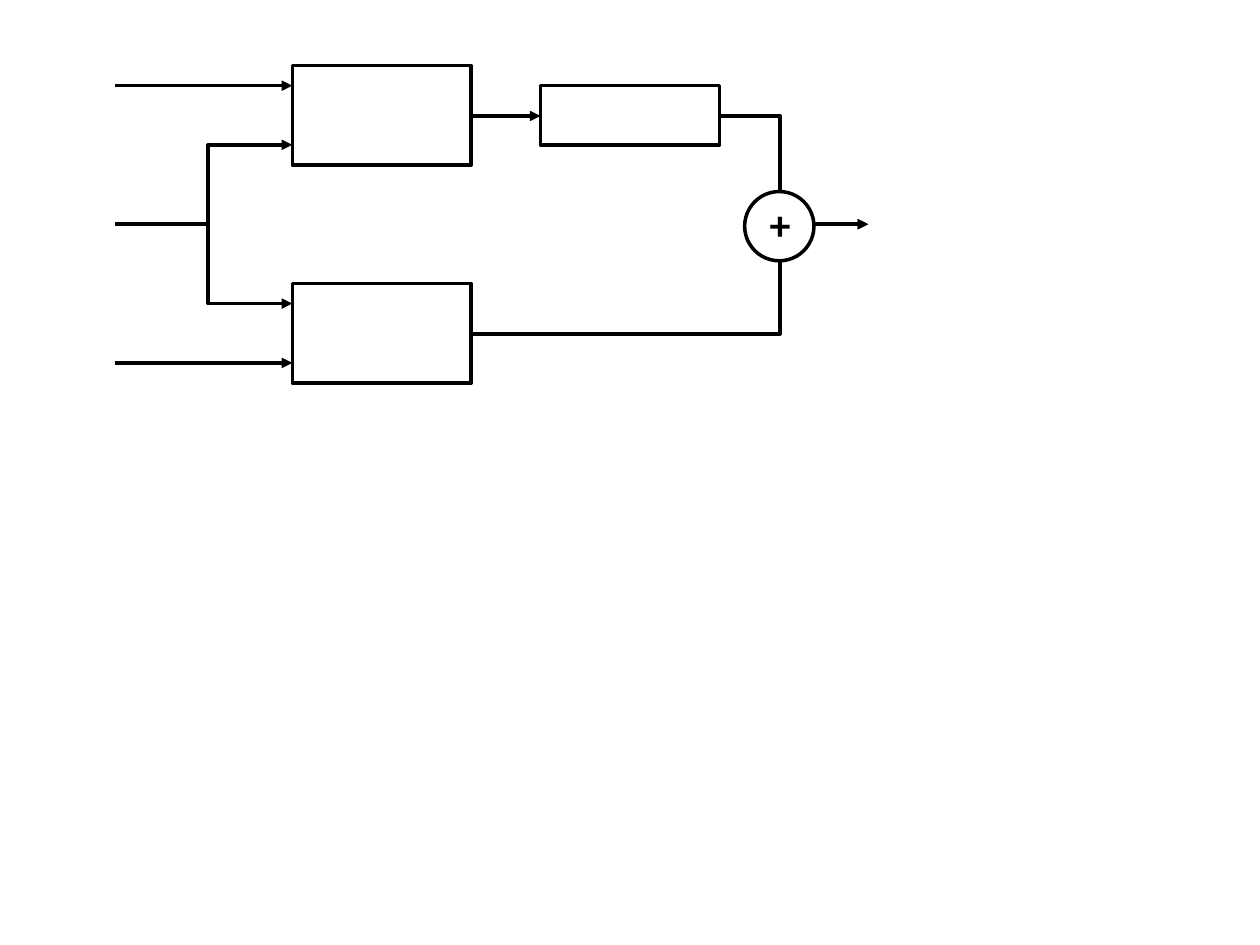
from dataclasses import dataclass
from typing import Optional

from lxml.etree import SubElement
from pptx import Presentation
from pptx.dml.color import RGBColor
from pptx.enum.shapes import MSO_CONNECTOR, MSO_SHAPE
from pptx.enum.text import MSO_AUTO_SIZE
from pptx.oxml.ns import qn
from pptx.util import Inches, Pt

BLACK = RGBColor(0, 0, 0)
WHITE = RGBColor(255, 255, 255)
LINE_W = Pt(2)
PLUS_FONT = {"name": "Calibri", "size": Pt(24), "bold": True}

BOX_W, BOX_H, DELAY_H = 1.42, 0.79, 0.47
IN_X, BOX_X, BOX_R, DELAY_X = 0.91, 2.32, 3.74, 4.29
DELAY_R = DELAY_X + BOX_W
SPLIT_X, SUM_X, OUT_X = 1.65, 6.19, 6.89
MID_Y, SUM_D = 1.78, 0.55


@dataclass
class Block:
    """A preset shape of the diagram."""
    x: float
    y: float
    w: float
    h: float
    kind: MSO_SHAPE = MSO_SHAPE.RECTANGLE
    fill: Optional[RGBColor] = None


@dataclass
class Wire:
    """An arrow, bent at bend_x when that is given."""
    x1: float
    y1: float
    x2: float
    y2: float
    bend_x: Optional[float] = None


WIRES = [
    Wire(IN_X, 0.68, BOX_X, 0.68),
    Wire(IN_X, MID_Y, BOX_X, 1.15, SPLIT_X),
    Wire(0.98, MID_Y, BOX_X, 2.41, SPLIT_X),
    Wire(IN_X, 2.88, BOX_X, 2.88),
    Wire(BOX_R, 0.92, DELAY_X, 0.92),
    Wire(DELAY_R, 0.92, OUT_X, MID_Y, SUM_X),
    Wire(BOX_R, 2.65, OUT_X, MID_Y, SUM_X),
]
BLOCKS = [
    Block(BOX_X, 0.52, BOX_W, BOX_H),
    Block(BOX_X, 2.25, BOX_W, BOX_H),
    Block(DELAY_X, 0.68, BOX_W, DELAY_H),
    Block(5.91, 1.52, SUM_D, SUM_D, MSO_SHAPE.OVAL, WHITE),
]


def draw_wire(s, wire: Wire) -> None:
    """Draw one arrow with a triangular head."""
    kind = MSO_CONNECTOR.STRAIGHT if wire.bend_x is None else MSO_CONNECTOR.ELBOW
    cx = s.shapes.add_connector(
        kind, *(Inches(v) for v in (wire.x1, wire.y1, wire.x2, wire.y2)))
    cx.line.color.rgb = BLACK
    cx.line.width = LINE_W
    sp_pr = cx._element.spPr
    SubElement(sp_pr.find(qn("a:ln")), qn("a:tailEnd"), type="triangle")
    SubElement(sp_pr, qn("a:effectLst"))
    if wire.bend_x is not None:
        adj = round((wire.bend_x - wire.x1) / (wire.x2 - wire.x1) * 100000)
        av = sp_pr.find(qn("a:prstGeom")).find(qn("a:avLst"))
        SubElement(av, qn("a:gd"), name="adj1", fmla=f"val {adj}")


def draw_block(s, block: Block) -> None:
    """Draw one outlined shape."""
    sp = s.shapes.add_shape(
        block.kind, *(Inches(v) for v in (block.x, block.y, block.w, block.h)))
    sp.shadow.inherit = False
    sp.line.color.rgb = BLACK
    sp.line.width = LINE_W
    if block.fill is None:
        sp.fill.background()
    else:
        sp.fill.solid()
        sp.fill.fore_color.rgb = block.fill


def draw_plus(s) -> None:
    """Write the plus sign of the adder."""
    tf = s.shapes.add_textbox(
        Inches(6.01), Inches(1.53), Inches(0.31), Inches(0.5)).text_frame
    tf.word_wrap = False
    tf.auto_size = MSO_AUTO_SIZE.SHAPE_TO_FIT_TEXT
    r = tf.paragraphs[0].add_run()
    r.text = "+"
    for key, value in PLUS_FONT.items():
        setattr(r.font, key, value)
    r.font.color.rgb = BLACK


def main() -> None:
    """Build and save the slide."""
    prs = Presentation()
    prs.slide_width, prs.slide_height = Inches(10), Inches(7.5)
    s = prs.slides.add_slide(prs.slide_layouts[6])
    for wire in WIRES:
        draw_wire(s, wire)
    for block in BLOCKS:
        draw_block(s, block)
    draw_plus(s)
    prs.save("out.pptx")


main()
